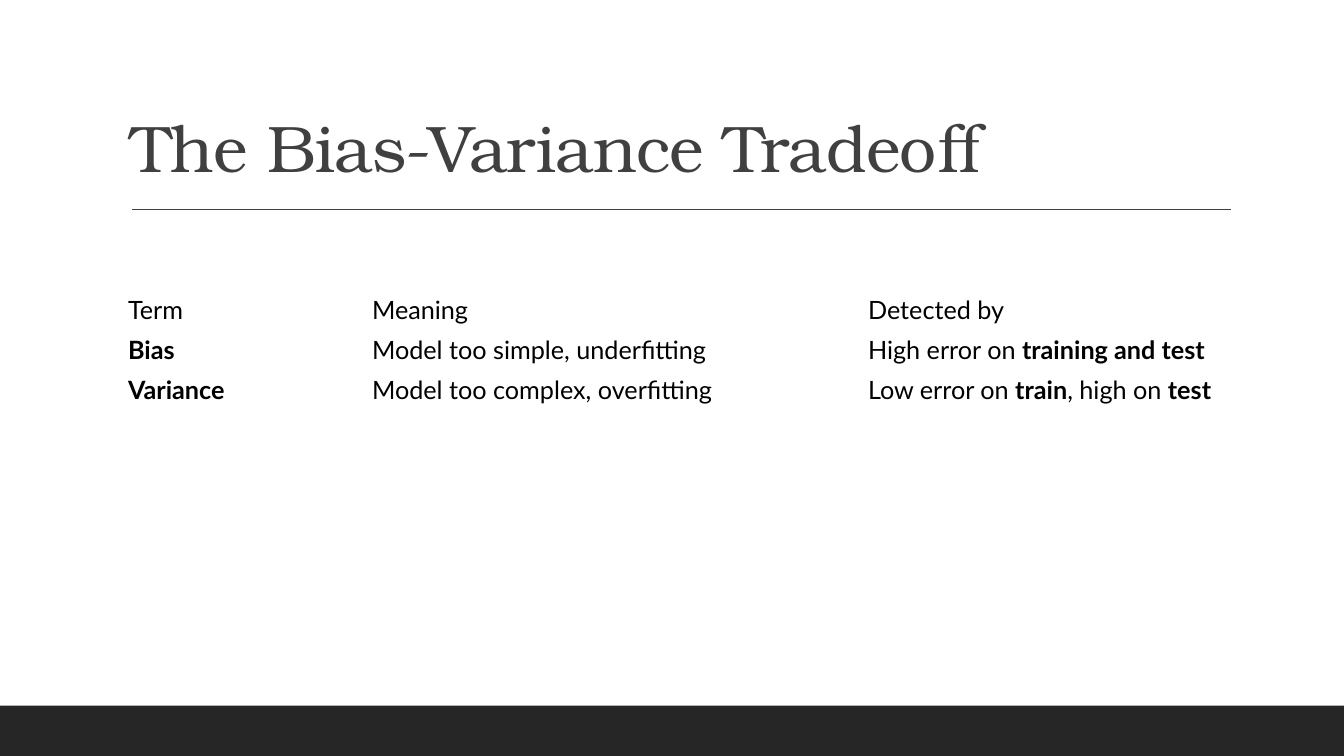
from pptx import Presentation
from pptx.dml.color import RGBColor
from pptx.enum.shapes import MSO_CONNECTOR, MSO_SHAPE
from pptx.enum.text import MSO_ANCHOR
from pptx.oxml.ns import qn
from pptx.util import Inches, Pt
from lxml import etree

TITLE = "The Bias-Variance Tradeoff"
# Each cell is a list of (text, bold) pieces.
TERMS = [
    [[("Term", False)], [("Meaning", False)], [("Detected by", False)]],
    [[("Bias", True)],
     [("Model too simple, underfitting", False)],
     [("High error on ", False), ("training and test", True)]],
    [[("Variance", True)],
     [("Model too complex, overfitting", False)],
     [("Low error on ", False), ("train", True),
      (", high on ", False), ("test", True)]],
]
COLUMN_WIDTHS = [2.42, 4.92, 3.67]
ROW_HEIGHT = 0.4
SLIDE_WIDTH, SLIDE_HEIGHT, FOOTER_HEIGHT = 13.33, 7.5, 0.5
COLORS = {"background": "FFFFFF", "footer": "262626",
          "title": "404040", "body": "000000"}
TITLE_FONT, BODY_FONT = "TeX Gyre Bonum", "Lato"


def color(name):
    return RGBColor.from_string(COLORS[name])


def style_font(font, name, size, color_name):
    font.name = name
    font.size = Pt(size)
    font.color.rgb = color(color_name)


def add_footer(slide):
    footer = slide.shapes.add_shape(
        MSO_SHAPE.RECTANGLE, 0, Inches(SLIDE_HEIGHT - FOOTER_HEIGHT),
        Inches(SLIDE_WIDTH), Inches(FOOTER_HEIGHT))
    footer.shadow.inherit = False
    footer.fill.solid()
    footer.fill.fore_color.rgb = color("footer")
    footer.line.fill.background()


def add_title(slide):
    """Add the heading and the rule below it."""
    rule = slide.shapes.add_connector(
        MSO_CONNECTOR.STRAIGHT,
        Inches(1.31), Inches(2.08), Inches(12.21), Inches(2.08))
    rule.line.color.rgb = color("title")
    rule.line.width = Pt(1)
    etree.SubElement(rule._element.spPr, qn("a:effectLst"))

    title = slide.shapes.add_textbox(
        Inches(1.2), Inches(0.31), Inches(11), Inches(1.59)).text_frame
    title.word_wrap = True
    title.vertical_anchor = MSO_ANCHOR.BOTTOM
    heading = title.paragraphs[0]
    heading.line_spacing = 0.9
    style_font(heading.font, TITLE_FONT, 47, "title")
    run = heading.add_run()
    run.text = TITLE
    run._r.get_or_add_rPr().set("spc", "-50")


def add_terms(slide):
    terms = slide.shapes.add_table(
        len(TERMS), len(COLUMN_WIDTHS), Inches(1.17), Inches(2.87),
        Inches(sum(COLUMN_WIDTHS)), Inches(ROW_HEIGHT * len(TERMS))).table
    terms.first_row = False
    terms.horz_banding = False
    for column, width in zip(terms.columns, COLUMN_WIDTHS):
        column.width = Inches(width)
    for row, entries in zip(terms.rows, TERMS):
        row.height = Inches(ROW_HEIGHT)
        for cell, pieces in zip(row.cells, entries):
            cell.fill.background()
            cell.vertical_anchor = MSO_ANCHOR.MIDDLE
            paragraph = cell.text_frame.paragraphs[0]
            style_font(paragraph.font, BODY_FONT, 18, "body")
            for text, bold in pieces:
                run = paragraph.add_run()
                run.text = text
                run.font.bold = bold


def main():
    deck = Presentation()
    deck.slide_width = Inches(SLIDE_WIDTH)
    deck.slide_height = Inches(SLIDE_HEIGHT)
    slide = deck.slides.add_slide(deck.slide_layouts[6])
    slide.background.fill.solid()
    slide.background.fill.fore_color.rgb = color("background")
    add_footer(slide)
    add_title(slide)
    add_terms(slide)
    deck.save("out.pptx")


if __name__ == "__main__":
    main()
